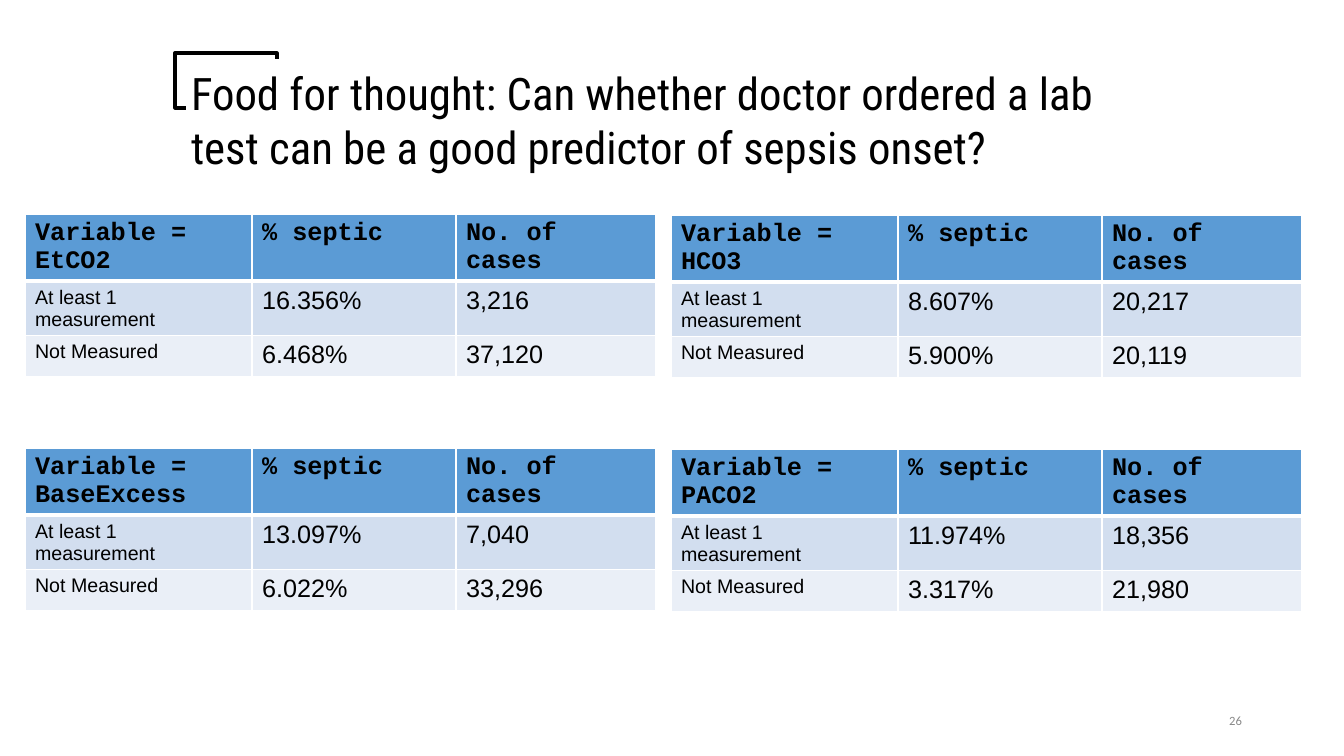
from dataclasses import dataclass

from lxml import etree
from pptx import Presentation
from pptx.dml.color import RGBColor
from pptx.enum.text import MSO_ANCHOR, PP_ALIGN
from pptx.oxml.ns import qn
from pptx.util import Emu, Pt

LEFT, RIGHT = PP_ALIGN.LEFT, PP_ALIGN.RIGHT
TOP, MIDDLE = MSO_ANCHOR.TOP, MSO_ANCHOR.MIDDLE
EMU_PER_PX = 914400 / 100.8
EMU_PER_POINT = 12700
BLANK_LAYOUT = 6


@dataclass(frozen=True)
class TextStyle:
    font: str
    size: int
    color: str = "000000"
    bold: bool = False


@dataclass(frozen=True)
class Theme:
    title: TextStyle = TextStyle("Roboto Condensed", 32)
    header: TextStyle = TextStyle("Courier New", 18, bold=True)
    label: TextStyle = TextStyle("Arial", 14)
    value: TextStyle = TextStyle("Arial", 18)
    page_number: TextStyle = TextStyle("Calibri", 9, "888888")
    row_fills: tuple = ("5B9BD5", "D2DEEF", "EAEFF7")
    border: str = "FFFFFF"
    bracket: str = "000000"


def px(length):
    return Emu(round(length * EMU_PER_PX))


class SlideBuilder:
    def __init__(self, page, theme):
        self.page = page
        self.theme = theme

    def fill_text(self, text_frame, text, style, align=LEFT):
        text_frame.text = text
        for para in text_frame.paragraphs:
            para.alignment = align
            for span in para.runs:
                span.font.name = style.font
                span.font.size = Pt(style.size)
                span.font.bold = style.bold
                span.font.color.rgb = RGBColor.from_string(style.color)

    def text(self, left, top, width, height, text, style,
             align=LEFT, anchor=TOP, insets=(0, 0)):
        box = self.page.shapes.add_textbox(px(left), px(top), px(width), px(height))
        frame = box.text_frame
        frame.word_wrap = True
        frame.vertical_anchor = anchor
        frame.margin_left = frame.margin_right = px(insets[0])
        frame.margin_top = frame.margin_bottom = px(insets[1])
        self.fill_text(frame, text, style, align)

    def outline(self, points, color, width):
        """Draw an open, unfilled line through the points."""
        corners = [(px(x), px(y)) for x, y in points]
        builder = self.page.shapes.build_freeform(*corners[0])
        builder.add_line_segments(corners[1:], close=False)
        shape = builder.convert_to_shape()
        shape.shadow.inherit = False
        shape.fill.background()
        shape.line.color.rgb = RGBColor.from_string(color)
        shape.line.width = Pt(width)

    def cell_borders(self, cell, bottom_width):
        properties = cell._tc.get_or_add_tcPr()
        for side, width in (("L", 1), ("R", 1), ("T", 1), ("B", bottom_width)):
            line = etree.SubElement(properties, qn(f"a:ln{side}"),
                                    w=str(width * EMU_PER_POINT))
            fill = etree.SubElement(line, qn("a:solidFill"))
            etree.SubElement(fill, qn("a:srgbClr"), val=self.theme.border)

    def table(self, left, top, widths, heights, rows):
        frame = self.page.shapes.add_table(
            len(rows), len(widths), px(left), px(top),
            px(sum(widths)), px(sum(heights)))
        table = frame.table
        table.horz_banding = False
        for column, width in zip(table.columns, widths):
            column.width = px(width)
        for row, height in zip(table.rows, heights):
            row.height = px(height)
        for r, texts in enumerate(rows):
            for c, text in enumerate(texts):
                cell = table.cell(r, c)
                if r == 0:
                    style = self.theme.header
                else:
                    style = self.theme.value if c else self.theme.label
                self.cell_borders(cell, 1 if r else 3)
                cell.fill.solid()
                cell.fill.fore_color.rgb = RGBColor.from_string(self.theme.row_fills[r])
                self.fill_text(cell.text_frame, text, style)


COLUMN_WIDTHS = (227, 204, 200)
ROW_HEIGHTS = (67, 54, 41)
TABLE_LEFT, TABLE_TOP = 25, 214
TABLE_STEP_X, TABLE_STEP_Y = 646, 234
RIGHT_COLUMN_DROP = 1

# One row of tables per line: variable, (% septic, cases) measured, then not measured
LAB_TESTS = (
    (("EtCO2", ("16.356%", "3,216"), ("6.468%", "37,120")),
     ("HCO3", ("8.607%", "20,217"), ("5.900%", "20,119"))),
    (("BaseExcess", ("13.097%", "7,040"), ("6.022%", "33,296")),
     ("PACO2", ("11.974%", "18,356"), ("3.317%", "21,980"))),
)


def main():
    deck = Presentation()
    deck.slide_width, deck.slide_height = px(1344), px(756)
    theme = Theme()
    page = deck.slides.add_slide(deck.slide_layouts[BLANK_LAYOUT])
    slide = SlideBuilder(page, theme)

    for grid_row, tests in enumerate(LAB_TESTS):
        for grid_column, (variable, measured, not_measured) in enumerate(tests):
            slide.table(
                TABLE_LEFT + grid_column * TABLE_STEP_X,
                TABLE_TOP + grid_row * TABLE_STEP_Y + grid_column * RIGHT_COLUMN_DROP,
                COLUMN_WIDTHS, ROW_HEIGHTS,
                ((f"Variable = {variable}", "% septic", "No. of cases"),
                 ("At least 1 measurement", *measured),
                 ("Not Measured", *not_measured)))

    slide.text(950, 701, 302, 40, "26", theme.page_number,
               align=RIGHT, anchor=MIDDLE, insets=(10, 5))
    slide.text(191, 66, 972, 54,
               "Food for thought: Can whether doctor ordered a lab test "
               "can be a good predictor of sepsis onset?", theme.title)
    slide.outline(((186, 108), (175, 108), (175, 53), (277, 53), (277, 59)),
                  theme.bracket, 2.25)
    deck.save("out.pptx")


if __name__ == "__main__":
    main()
